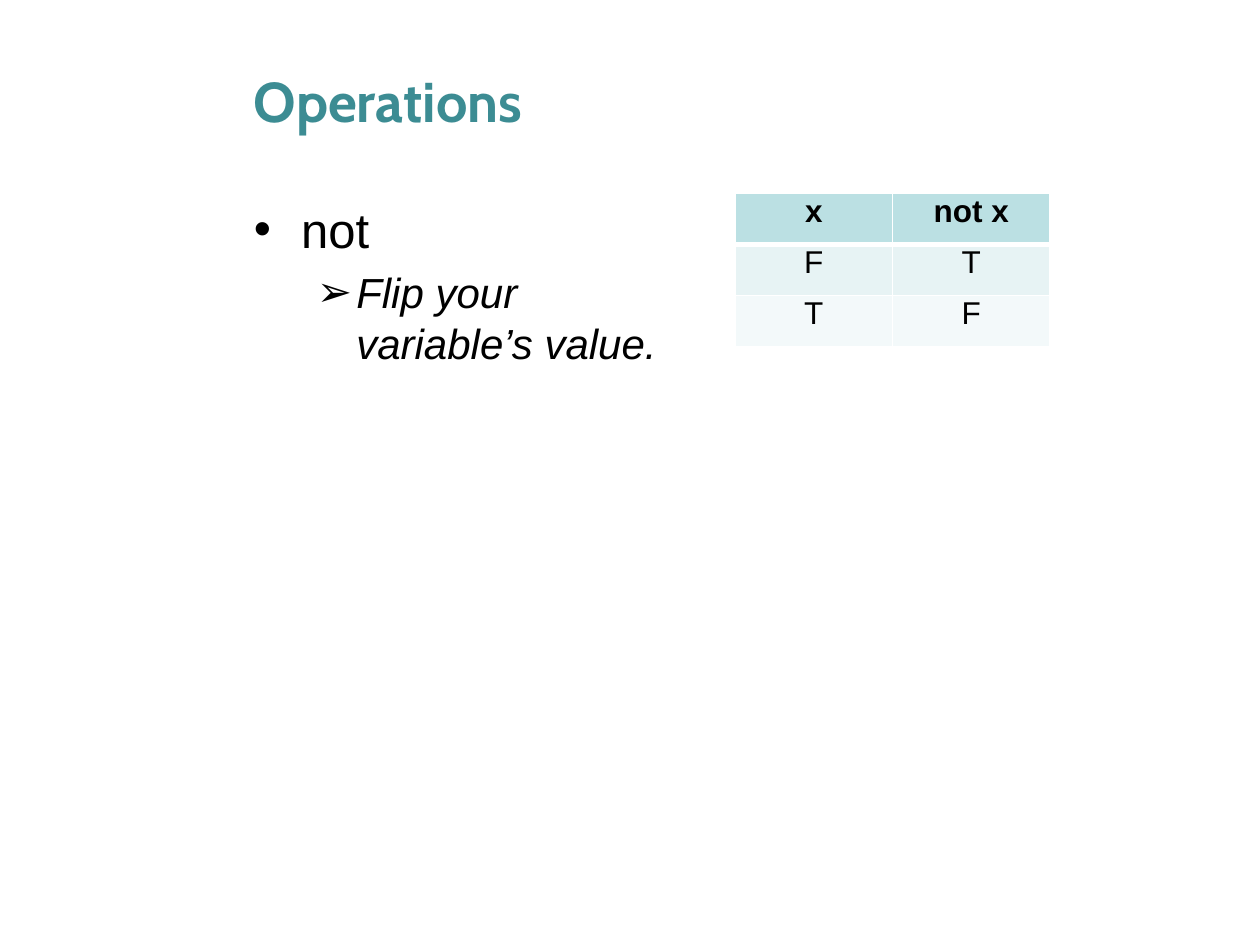
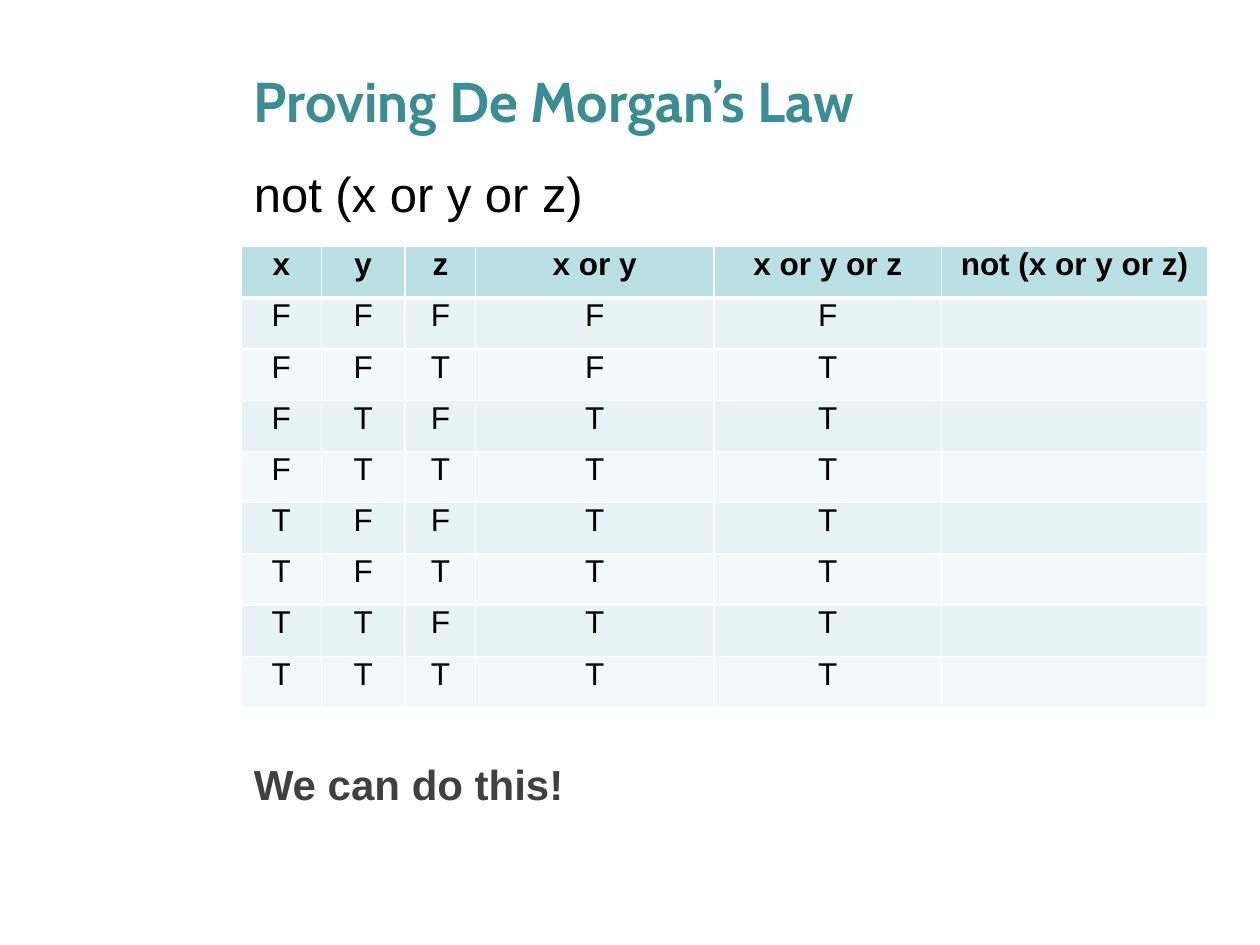
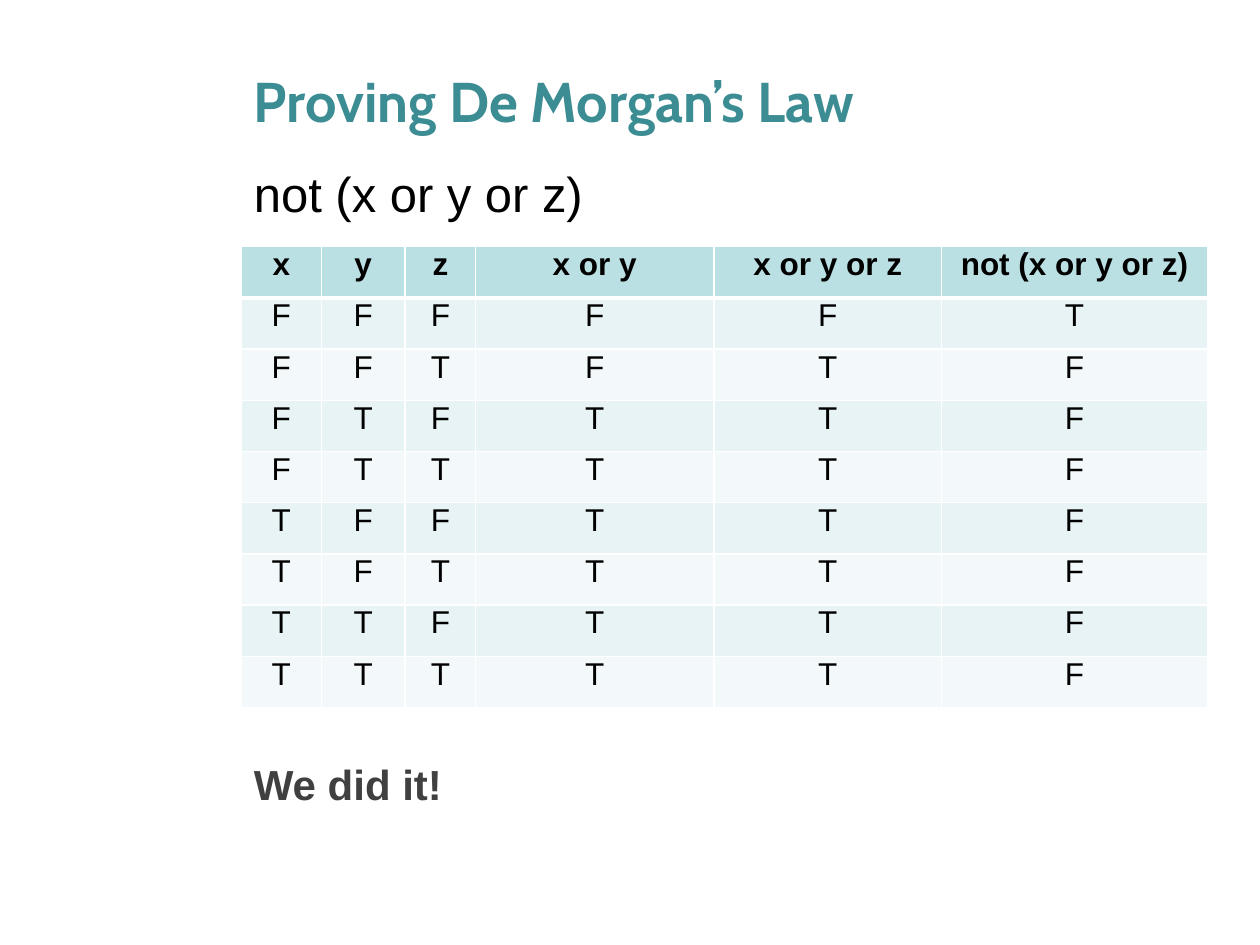
import itertools
from dataclasses import dataclass

import pptx
import pptx.dml.color
import pptx.enum.text
import pptx.oxml
import pptx.oxml.ns
import pptx.util

# Grid of 120 columns by 90 rows on a 10 by 7.5 inch slide
SLIDE_WIDTH = pptx.util.Inches(10)
SLIDE_HEIGHT = pptx.util.Inches(7.5)
COLUMNS, ROWS = 120, 90

LEFT, WIDTH = 23, 92
TABLE_ROW = 4.88

TEAL, BLACK, GREY, WHITE = "3C8C93", "000000", "404040", "FFFFFF"
HEADER_FILL = "BBE0E3"
BAND_FILLS = ("E7F3F4", "F3F9FA")
ANCHOR = pptx.enum.text.MSO_ANCHOR


@dataclass(frozen=True)
class Area:
    left: float
    top: float
    width: float
    height: float


@dataclass(frozen=True)
class Style:
    size: float
    color: str = BLACK
    font: str = "Arial"
    bold: bool = False
    italic: bool = False
    space_share: float = 0  # space before, as a share of the text size
    line_spacing: float | None = None
    centered: bool = False


@dataclass(frozen=True)
class Bullet:
    symbol: str
    margin: float
    hanging: float


@dataclass(frozen=True)
class Line:
    text: str
    style: Style
    bullet: Bullet | None = None


TITLE = Style(32, TEAL, "Cabin", bold=True)
BODY = Style(28, space_share=0.5)
SUBPOINT = Style(24, italic=True, space_share=0.2)
REMARK = Style(24, GREY, bold=True, space_share=0.2, line_spacing=0.8)
HEADER = Style(18, bold=True, space_share=0.2, line_spacing=0.8, centered=True)
VALUE = Style(18, space_share=0.2, line_spacing=0.8, centered=True)

DOT = Bullet("•", 4.5, 4.5)
ARROW = Bullet("➢", 9.75, 3.75)


def across(columns: float) -> int:
    return round(SLIDE_WIDTH * columns / COLUMNS)


def down(rows: float) -> int:
    return round(SLIDE_HEIGHT * rows / ROWS)


def place(area: Area) -> tuple[int, int, int, int]:
    return across(area.left), down(area.top), across(area.width), down(area.height)


def rgb(color: str) -> pptx.dml.color.RGBColor:
    return pptx.dml.color.RGBColor.from_string(color)


def xml(markup: str):
    """Parse one element written with the a: prefix."""
    tag, rest = markup[:-2].split(" ", 1) if markup.endswith("/>") else markup.split(" ", 1)
    end = "/>" if markup.endswith("/>") else ""
    return pptx.oxml.parse_xml(f"{tag} {pptx.oxml.ns.nsdecls('a')} {rest}{end}")


def write(para, line: Line) -> None:
    style = line.style
    para.space_before = pptx.util.Pt(style.size * style.space_share)
    if style.line_spacing:
        para.line_spacing = style.line_spacing
    if style.centered:
        para.alignment = pptx.enum.text.PP_ALIGN.CENTER
    if line.bullet:
        properties = para._p.get_or_add_pPr()
        properties.set("marL", str(across(line.bullet.margin)))
        properties.set("indent", str(-across(line.bullet.hanging)))
        properties.append(xml('<a:buFont typeface="Arial"/>'))
        properties.append(xml(f'<a:buChar char="{line.bullet.symbol}"/>'))
    # An empty cell still needs its text size
    font = para.font
    if line.text:
        span = para.add_run()
        span.text = line.text
        font = span.font
    font.name, font.size = style.font, pptx.util.Pt(style.size)
    font.bold, font.italic = style.bold, style.italic
    font.color.rgb = rgb(style.color)


def add_text(page, area: Area, lines: list[Line], anchor=ANCHOR.TOP, wrap: bool = True) -> None:
    frame = page.shapes.add_textbox(*place(area)).text_frame
    frame.word_wrap = wrap
    frame.vertical_anchor = anchor
    for index, line in enumerate(lines):
        write(frame.add_paragraph() if index else frame.paragraphs[0], line)


def set_borders(cell, bottom: float) -> None:
    properties = cell._tc.get_or_add_tcPr()
    for index, (side, points) in enumerate({"L": 1, "R": 1, "T": 1, "B": bottom}.items()):
        border = xml(
            f'<a:ln{side} w="{pptx.util.Pt(points)}"><a:solidFill>'
            f'<a:srgbClr val="{WHITE}"/></a:solidFill></a:ln{side}>'
        )
        properties.insert(index, border)


def add_truth_table(page, left: float, top: float, widths: list[float], rows: list[list[str]]) -> None:
    area = Area(left, top, sum(widths), TABLE_ROW * len(rows))
    table = page.shapes.add_table(len(rows), len(widths), *place(area)).table
    for column, width in zip(table.columns, widths):
        column.width = across(width)
    for row_index, values in enumerate(rows):
        table.rows[row_index].height = down(TABLE_ROW)
        is_header = row_index == 0
        fill = HEADER_FILL if is_header else BAND_FILLS[(row_index - 1) % 2]
        for column_index, value in enumerate(values):
            cell = table.cell(row_index, column_index)
            cell.fill.solid()
            cell.fill.fore_color.rgb = rgb(fill)
            set_borders(cell, bottom=3 if is_header else 1)
            write(cell.text_frame.paragraphs[0], Line(value, HEADER if is_header else VALUE))


def letter(value: bool) -> str:
    return "T" if value else "F"


def de_morgan_rows(solved: bool) -> list[list[str]]:
    rows = [["x", "y", "z", "x or y", "x or y or z", "not (x or y or z)"]]
    for x, y, z in itertools.product((False, True), repeat=3):
        known = [letter(value) for value in (x, y, z, x or y, x or y or z)]
        rows.append(known + [letter(not (x or y or z)) if solved else ""])
    return rows


def add_page(deck, title: str):
    page = deck.slides.add_slide(deck.slide_layouts[6])
    add_text(page, Area(LEFT, 4, WIDTH, 11), [Line(title, TITLE)], ANCHOR.MIDDLE)
    return page


def add_not_page(deck) -> None:
    page = add_page(deck, "Operations")
    points = [Line("not", BODY, DOT), Line("Flip your variable’s value.", SUBPOINT, ARROW)]
    add_text(page, Area(LEFT, 18.4, 45, 60), points)
    rows = [["x", "not x"]] + [[letter(x), letter(not x)] for x in (False, True)]
    add_truth_table(page, 70, 18.4, [15, 15], rows)


def add_proof_page(deck, solved: bool, remark: str, remark_width: float) -> None:
    page = add_page(deck, "Proving De Morgan’s Law")
    add_text(page, Area(LEFT, 15, WIDTH, 8.5), [Line("not (x or y or z)", BODY)])
    widths = [7.6, 8, 6.7, 22.7, 21.7, 25.3]
    add_truth_table(page, LEFT, 23.5, widths, de_morgan_rows(solved))
    add_text(page, Area(LEFT, 72.6, remark_width, 5), [Line(remark, REMARK)], wrap=False)


def main() -> None:
    deck = pptx.Presentation()
    deck.slide_width, deck.slide_height = SLIDE_WIDTH, SLIDE_HEIGHT
    add_not_page(deck)
    add_proof_page(deck, solved=False, remark="We can do this!", remark_width=33.2)
    add_proof_page(deck, solved=True, remark="We did it!", remark_width=20.5)
    deck.save("out.pptx")


if __name__ == "__main__":
    main()
